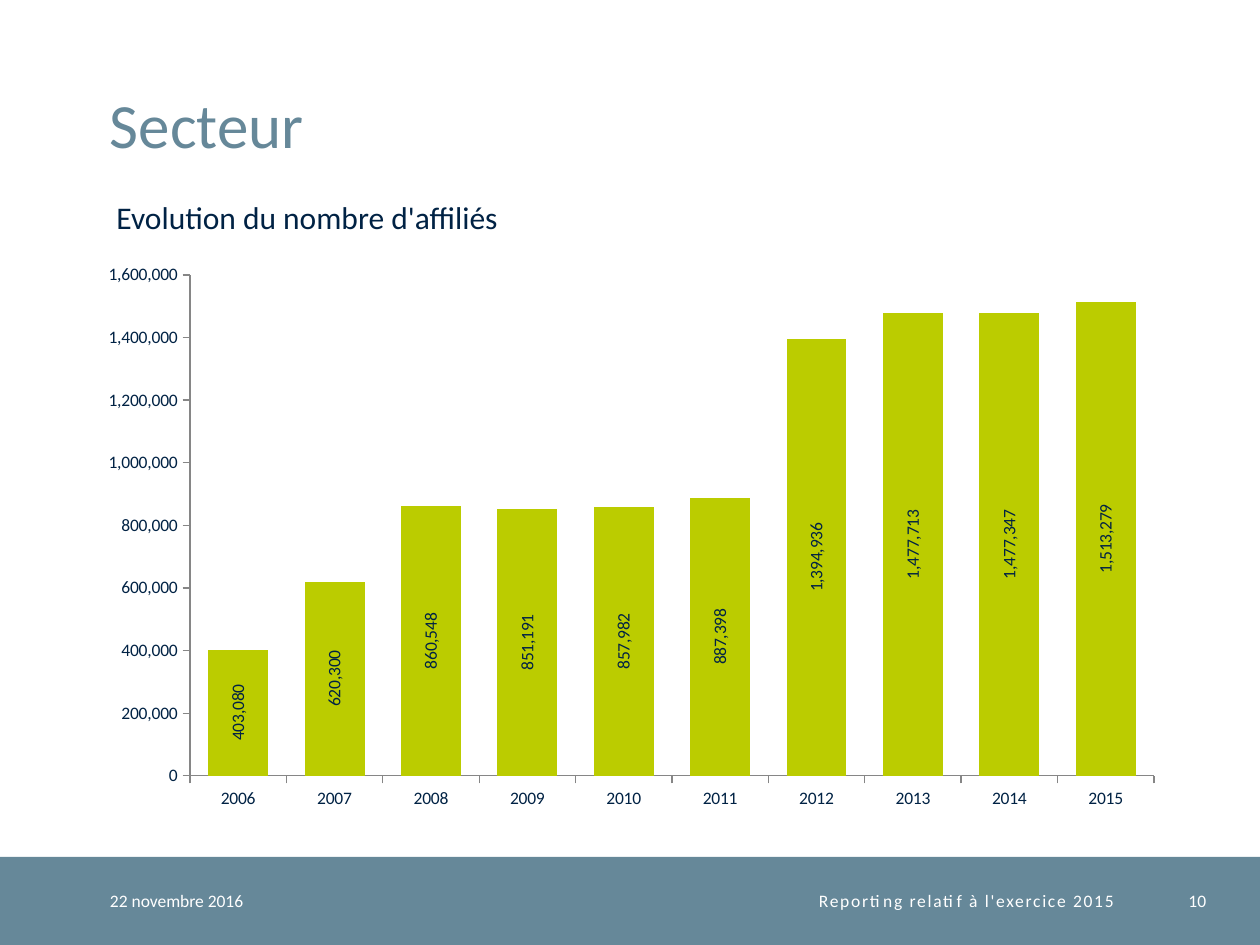
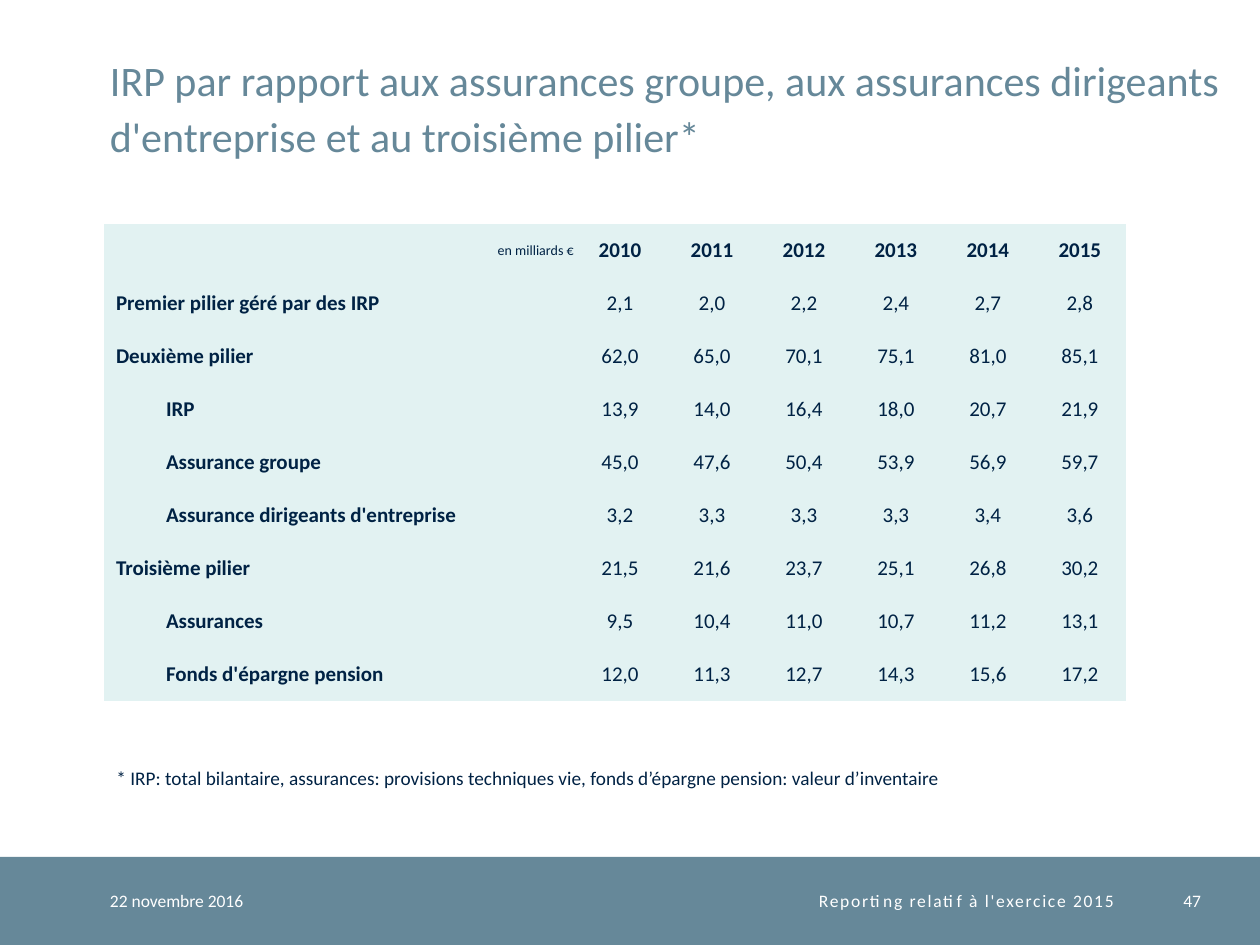
from dataclasses import dataclass

from lxml import etree
from pptx import Presentation
from pptx.chart.data import CategoryChartData
from pptx.dml.color import RGBColor
from pptx.enum.chart import XL_CHART_TYPE as ChartType
from pptx.enum.chart import XL_LABEL_POSITION as LabelPosition
from pptx.enum.chart import XL_TICK_MARK as TickMark
from pptx.enum.shapes import MSO_SHAPE as Shape
from pptx.enum.text import MSO_ANCHOR as Anchor
from pptx.enum.text import MSO_AUTO_SIZE as AutoSize
from pptx.enum.text import PP_ALIGN as Align
from pptx.oxml.ns import qn
from pptx.util import Emu, Pt

# Scale and shared style
PX_PER_INCH = 126
FONT = "Calibri"
SLATE, NAVY, LIME = "668899", "002244", "BBCC00"
WHITE, PALE, GREY = "FFFFFF", "E2F2F2", "868686"
TITLE_ONLY = 5
NO_TABLE_STYLE = "{2D5ABB26-0587-4C30-8999-92F81FD0307C}"
BAND_TOP, BAND_HEIGHT = 857, 88
MARGIN = 110


@dataclass(frozen=True)
class Box:
    left: int
    top: int
    width: int
    height: int

    def emu(self) -> tuple:
        return tuple(px(v) for v in (self.left, self.top, self.width, self.height))


@dataclass(frozen=True)
class TextStyle:
    size: int
    color: str
    bold: bool = False
    align: Align = Align.LEFT
    tracking: int = 0


@dataclass(frozen=True)
class Page:
    title: str
    title_size: int
    title_width: int
    number: str
    number_right: int


@dataclass(frozen=True)
class TableRow:
    label: str
    values: str
    level: int = 0


FOOTER = TextStyle(10, WHITE)
FOOTER_RIGHT = TextStyle(10, WHITE, align=Align.RIGHT)
FOOTER_TITLE = TextStyle(10, WHITE, align=Align.RIGHT, tracking=100)

# Content
SECTOR = Page("Secteur", 36, 1087, "10", 1206)
PILLARS = Page("IRP par rapport aux assurances groupe, aux assurances dirigeants "
               "d'entreprise et au troisième pilier*", 24, 1116, "47", 1201)
MEMBERS = (403080, 620300, 860548, 851191, 857982,
           887398, 1394936, 1477713, 1477347, 1513279)
YEARS = [str(year) for year in range(2010, 2016)]
ROWS = (
    TableRow("Premier pilier géré par des IRP", "2,1 2,0 2,2 2,4 2,7 2,8"),
    TableRow("Deuxième pilier", "62,0 65,0 70,1 75,1 81,0 85,1"),
    TableRow("IRP", "13,9 14,0 16,4 18,0 20,7 21,9", 1),
    TableRow("Assurance groupe", "45,0 47,6 50,4 53,9 56,9 59,7", 1),
    TableRow("Assurance dirigeants d'entreprise", "3,2 3,3 3,3 3,3 3,4 3,6", 1),
    TableRow("Troisième pilier", "21,5 21,6 23,7 25,1 26,8 30,2"),
    TableRow("Assurances", "9,5 10,4 11,0 10,7 11,2 13,1", 1),
    TableRow("Fonds d'épargne pension", "12,0 11,3 12,7 14,3 15,6 17,2", 1),
)


def px(value: int) -> Emu:
    return Emu(round(value * 914400 / PX_PER_INCH))


def rgb(color: str) -> RGBColor:
    return RGBColor.from_string(color)


def write(text_frame, text: str, style: TextStyle) -> None:
    text_frame.text = text
    paragraph = text_frame.paragraphs[0]
    paragraph.alignment = style.align
    run = paragraph.runs[0]
    run.font.name, run.font.size = FONT, Pt(style.size)
    run.font.bold = style.bold
    run.font.color.rgb = rgb(style.color)
    if style.tracking:
        run.font._element.set("spc", str(style.tracking))


def clear_margins(item) -> None:
    item.margin_left = item.margin_right = item.margin_top = item.margin_bottom = 0


def add_text(slide, box: Box, text: str, style: TextStyle):
    text_frame = slide.shapes.add_textbox(*box.emu()).text_frame
    text_frame.word_wrap = True
    write(text_frame, text, style)
    return text_frame


def add_footer_text(slide, left: int, right: int, text: str, style: TextStyle) -> None:
    box = Box(left, BAND_TOP, right - left, BAND_HEIGHT)
    text_frame = add_text(slide, box, text, style)
    clear_margins(text_frame)
    text_frame.vertical_anchor = Anchor.MIDDLE


def add_page(presentation, page: Page):
    slide = presentation.slides.add_slide(presentation.slide_layouts[TITLE_ONLY])

    # Title
    title = slide.shapes.title
    box = Box(MARGIN, 25, page.title_width, 136)
    title.left, title.top, title.width, title.height = box.emu()
    text_frame = title.text_frame
    clear_margins(text_frame)
    text_frame.auto_size = AutoSize.NONE
    text_frame.word_wrap = True
    text_frame.vertical_anchor = Anchor.BOTTOM
    write(text_frame, page.title, TextStyle(page.title_size, SLATE))
    text_frame.paragraphs[0].line_spacing = Pt(32)

    # Footer band
    band = slide.shapes.add_shape(
        Shape.RECTANGLE, *Box(0, BAND_TOP, 1260, BAND_HEIGHT).emu())
    band.shadow.inherit = False
    band.fill.solid()
    band.fill.fore_color.rgb = rgb(SLATE)
    band.line.fill.background()
    add_footer_text(slide, MARGIN, 333, "22 novembre 2016", FOOTER)
    add_footer_text(slide, 432, 1114, "Reporting relatif à l'exercice 2015", FOOTER_TITLE)
    add_footer_text(slide, 1139, page.number_right, page.number, FOOTER_RIGHT)
    return slide


def set_plot_area(chart, frame: Box, plot: Box) -> None:
    """Fix the inner plot area as fractions of the chart frame."""
    plot_area = chart._chartSpace.chart.plotArea
    for old in plot_area.findall(qn("c:layout")):
        plot_area.remove(old)
    layout = etree.Element(qn("c:layout"))
    manual = etree.SubElement(layout, qn("c:manualLayout"))
    settings = {
        "layoutTarget": "inner", "xMode": "edge", "yMode": "edge",
        "x": (plot.left - frame.left) / frame.width,
        "y": (plot.top - frame.top) / frame.height,
        "w": plot.width / frame.width,
        "h": plot.height / frame.height,
    }
    for name, value in settings.items():
        etree.SubElement(manual, qn(f"c:{name}")).set("val", str(value))
    plot_area.insert(0, layout)


def add_members_chart(slide) -> None:
    frame = Box(87, 255, 1089, 566)
    data = CategoryChartData(number_format="#,##0")
    data.categories = [str(year) for year in range(2006, 2016)]
    data.add_series("Nombre d'affiliés", MEMBERS)
    chart = slide.shapes.add_chart(ChartType.COLUMN_STACKED, *frame.emu(), data).chart
    chart.has_legend = chart.has_title = False
    chart.font.name, chart.font.size = FONT, Pt(10)
    chart.font.color.rgb = rgb(NAVY)
    set_plot_area(chart, frame, Box(190, 275, 964, 501))

    # Axes
    for axis in (chart.category_axis, chart.value_axis):
        axis.has_major_gridlines = False
        axis.major_tick_mark = TickMark.OUTSIDE
        axis.minor_tick_mark = TickMark.NONE
        axis.format.line.color.rgb = rgb(GREY)
        axis.format.line.width = Pt(0.75)
    value_axis = chart.value_axis
    value_axis.minimum_scale, value_axis.maximum_scale = 0, 1600000
    value_axis.major_unit = 200000
    value_axis.tick_labels.number_format = "#,##0"
    value_axis.tick_labels.number_format_is_linked = False

    # Columns and upright value labels
    plot = chart.plots[0]
    plot.gap_width, plot.overlap = 61, 100
    plot.vary_by_categories = False
    fill = plot.series[0].format.fill
    fill.solid()
    fill.fore_color.rgb = rgb(LIME)
    plot.has_data_labels = True
    labels = plot.data_labels
    labels.show_value = True
    labels.position = LabelPosition.CENTER
    labels.number_format, labels.number_format_is_linked = "#,##0", False
    labels.font.name, labels.font.size = FONT, Pt(10)
    labels.font.color.rgb = rgb(NAVY)
    body = labels._element.find(qn("c:txPr")).find(qn("a:bodyPr"))
    body.set("rot", "-5400000")
    body.set("vert", "horz")


def fill_cell(cell, text: str, style: TextStyle, indent: int = 0) -> None:
    clear_margins(cell)
    cell.vertical_anchor = Anchor.MIDDLE
    cell.fill.solid()
    cell.fill.fore_color.rgb = rgb(PALE)
    write(cell.text_frame, text, style)
    if indent:
        side = "marR" if style.align == Align.RIGHT else "marL"
        properties = cell.text_frame.paragraphs[0]._p.get_or_add_pPr()
        properties.set(side, str(px(indent)))
        properties.set("indent", "0")


def add_pillars_table(slide) -> None:
    label_width, year_width, row_height = 470, 92, 53
    row_count, column_count = len(ROWS) + 1, len(YEARS) + 1
    box = Box(104, 224, label_width + year_width * len(YEARS), row_height * row_count)
    table = slide.shapes.add_table(row_count, column_count, *box.emu()).table
    table.first_row = table.horz_banding = False
    table._tbl.tblPr.find(qn("a:tableStyleId")).text = NO_TABLE_STYLE
    for index, column in enumerate(table.columns):
        column.width = px(year_width if index else label_width)
    for row in table.rows:
        row.height = px(row_height)

    # Header row
    fill_cell(table.cell(0, 0), "en milliards €", TextStyle(8, NAVY, align=Align.RIGHT))
    year_style = TextStyle(12, NAVY, bold=True, align=Align.CENTER)
    for column, year in enumerate(YEARS, 1):
        fill_cell(table.cell(0, column), year, year_style)

    # Value rows
    label_style = TextStyle(12, NAVY, bold=True)
    value_style = TextStyle(12, NAVY, align=Align.CENTER)
    for index, row in enumerate(ROWS, 1):
        fill_cell(table.cell(index, 0), row.label, label_style, 62 if row.level else 12)
        for column, value in enumerate(row.values.split(), 1):
            fill_cell(table.cell(index, column), value, value_style)


def main() -> None:
    presentation = Presentation()
    presentation.slide_width, presentation.slide_height = px(1260), px(945)

    sector = add_page(presentation, SECTOR)
    add_text(sector, Box(104, 192, 1132, 50), "Evolution du nombre d'affiliés",
             TextStyle(18, NAVY))
    add_members_chart(sector)

    pillars = add_page(presentation, PILLARS)
    add_pillars_table(pillars)
    add_text(pillars, Box(104, 760, 1022, 36),
             "* IRP: total bilantaire, assurances: provisions techniques vie, "
             "fonds d’épargne pension: valeur d’inventaire", TextStyle(11, NAVY))

    presentation.save("out.pptx")


if __name__ == "__main__":
    main()
